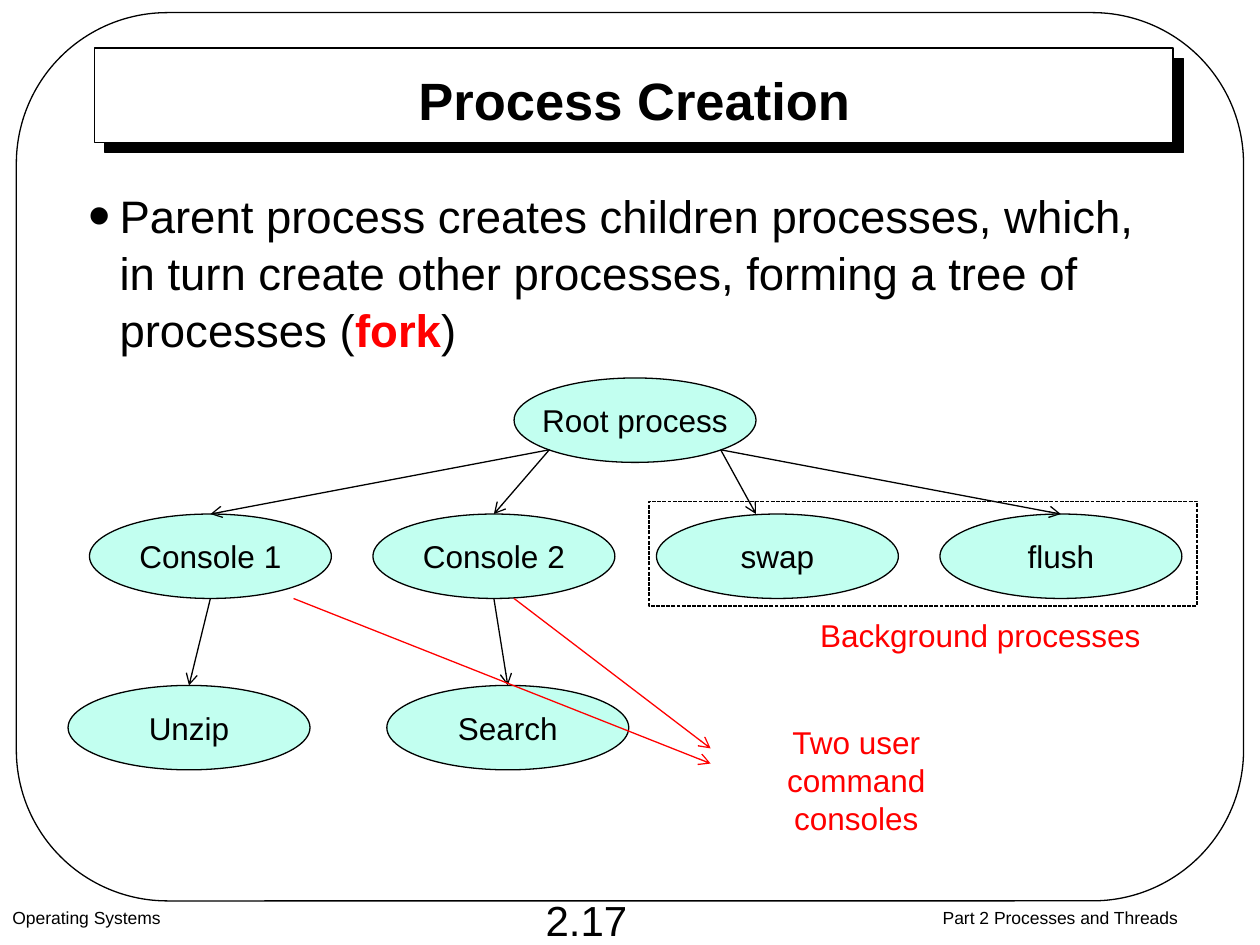
"""Build the Process Creation slide with its tree of processes."""
from dataclasses import dataclass

from lxml import etree
from pptx import Presentation
from pptx.dml.color import RGBColor
from pptx.enum.dml import MSO_LINE
from pptx.enum.shapes import MSO_CONNECTOR, MSO_SHAPE
from pptx.enum.text import MSO_ANCHOR, PP_ALIGN
from pptx.oxml.ns import qn
from pptx.util import Inches, Pt

LEFT, CENTER = PP_ALIGN.LEFT, PP_ALIGN.CENTER
TOP, MIDDLE = MSO_ANCHOR.TOP, MSO_ANCHOR.MIDDLE
RECT, ROUND, OVAL = MSO_SHAPE.RECTANGLE, MSO_SHAPE.ROUNDED_RECTANGLE, MSO_SHAPE.OVAL
DASH = MSO_LINE.SQUARE_DOT
STRAIGHT = MSO_CONNECTOR.STRAIGHT
COLORS = {"black": "000000", "white": "FFFFFF", "red": "FF0000", "mint": "C2FFF0"}
FONT = "Arial"
WIDE, HIGH = 1.92, 0.67
ROW, STEP, LOW = 4.08, 2.25, 5.44


@dataclass
class Node:
    text: str
    left: float
    top: float


@dataclass
class Label:
    text: str
    box: tuple[float, float, float, float]
    size: float
    color: str = "black"
    align: PP_ALIGN = CENTER
    anchor: MSO_ANCHOR = TOP
    wrap: bool = False


@dataclass
class Arrow:
    start: tuple[float, float]
    end: tuple[float, float]
    color: str = "black"
    target: str = ""


NODES = [Node("Root process", 4.08, 3)]
NODES += [Node(name, 0.71 + i * STEP, ROW)
          for i, name in enumerate(["Console 1", "Console 2", "swap", "flush"])]
NODES += [Node("Unzip", 0.54, LOW), Node("Search", 3.07, LOW)]

LABELS = [
    Label("Part 2 Processes and Threads", (6.83, 7.15, 3.17, 0.35), 10, wrap=True),
    Label("2.17", (3.66, 7.05, 1.99, 0.5), 24, anchor=MIDDLE),
    Label("Operating Systems", (0, 7.15, 4, 0.35), 10, align=LEFT, wrap=True),
    Label("Background processes", (6.41, 4.84, 2.74, 0.4), 18, "red"),
    Label("Two user\ncommand consoles", (5.62, 5.69, 2.35, 0.7), 18, "red"),
]

ARROWS = [
    Arrow((5.72, 3.57), (8.42, ROW), target="flush"),
    Arrow((5.72, 3.57), (6, ROW)),
    Arrow((4.36, 3.57), (1.67, ROW), target="Console 1"),
    Arrow((4.36, 3.57), (3.92, ROW), target="Console 2"),
    Arrow((1.67, 4.75), (1.5, LOW), target="Unzip"),
    Arrow((3.92, 4.75), (4.03, LOW), target="Search"),
    Arrow((4.08, 4.75), (5.64, 5.94), "red"),
    Arrow((2.33, 4.75), (5.64, 6.06), "red"),
]


def paint(name: str) -> RGBColor:
    """Return a named colour."""
    return RGBColor.from_string(COLORS[name])


def style(para, size: float, color: str = "black", align=CENTER, bold: bool = False) -> None:
    """Set the font and alignment of a paragraph."""
    para.alignment = align
    para.font.name, para.font.size, para.font.bold = FONT, Pt(size), bold
    para.font.color.rgb = paint(color)


def add_shape(slide, kind, box: tuple, fill: str = ""):
    """Add an outlined shape, filled if a colour is named."""
    shape = slide.shapes.add_shape(kind, *map(Inches, box))
    shape.shadow.inherit = False
    if fill:
        shape.fill.solid()
        shape.fill.fore_color.rgb = paint(fill)
    else:
        shape.fill.background()
    shape.line.color.rgb = paint("black")
    shape.line.width = Pt(0.75)
    return shape


def add_title(slide) -> None:
    """Place the title on its panel with a hard shadow."""
    title = slide.shapes.title
    title.left, title.top, title.width, title.height = map(Inches, (1.27, 0.54, 7.53, 0.5))
    title.text_frame.text = "Process Creation"
    title.text_frame.vertical_anchor = MIDDLE
    style(title.text_frame.paragraphs[0], 30, bold=True)
    panel = add_shape(slide, RECT, (0.75, 0.38, 8.56, 0.75), "white")
    effects = panel.element.spPr.find(qn("a:effectLst"))
    shadow = etree.SubElement(effects, qn("a:outerShdw"), blurRad="0", dist=str(Pt(8.5)),
                              dir=str(45 * 60000), algn="tl", rotWithShape="0")
    etree.SubElement(shadow, qn("a:srgbClr"), val=COLORS["black"])
    title.element.addprevious(panel.element)


def add_body(slide) -> None:
    """Add the bulleted statement."""
    box = slide.shapes.add_textbox(*map(Inches, (0.6, 1.42, 8.79, 1.5)))
    box.text_frame.word_wrap = True
    para = box.text_frame.paragraphs[0]
    para.line_spacing = 1.05
    props = para._p.get_or_add_pPr()
    props.set("marL", str(Inches(0.25)))
    props.set("indent", str(-Inches(0.25)))
    tint = etree.SubElement(props, qn("a:buClr"))
    etree.SubElement(tint, qn("a:srgbClr"), val=COLORS["black"])
    etree.SubElement(props, qn("a:buSzPct"), val="140000")
    etree.SubElement(props, qn("a:buFont"), typeface=FONT)
    etree.SubElement(props, qn("a:buChar"), char="•")
    style(para, 26, align=LEFT)
    para.add_run().text = ("Parent process creates children processes, which, in turn "
                           "create other processes, forming a tree of processes (")
    fork = para.add_run()
    fork.text = "fork"
    fork.font.bold = True
    fork.font.color.rgb = paint("red")
    para.add_run().text = ")"


def add_node(slide, node: Node):
    """Add one process of the tree."""
    oval = add_shape(slide, OVAL, (node.left, node.top, WIDE, HIGH), "mint")
    frame = oval.text_frame
    frame.word_wrap = False
    frame.vertical_anchor = MIDDLE
    frame.text = node.text
    style(frame.paragraphs[0], 18)
    return oval


def add_label(slide, label: Label) -> None:
    """Add a plain text box."""
    box = slide.shapes.add_textbox(*map(Inches, label.box))
    frame = box.text_frame
    frame.word_wrap = label.wrap
    frame.vertical_anchor = label.anchor
    frame.text = label.text
    for para in frame.paragraphs:
        style(para, label.size, label.color, label.align)


def add_arrow(slide, arrow: Arrow, ovals: dict) -> None:
    """Add an arrow, joined to the top of its target if it has one."""
    link = slide.shapes.add_connector(STRAIGHT, *map(Inches, arrow.start + arrow.end))
    if arrow.target:
        link.end_connect(ovals[arrow.target], 0)
    link.line.color.rgb = paint(arrow.color)
    link.line.width = Pt(0.75)
    etree.SubElement(link.line._get_or_add_ln(), qn("a:tailEnd"), type="arrow")
    etree.SubElement(link._element.spPr, qn("a:effectLst"))


def main() -> None:
    """Build and save the slide."""
    deck = Presentation()
    deck.slide_width, deck.slide_height = Inches(10), Inches(7.5)
    slide = deck.slides.add_slide(deck.slide_layouts[5])
    add_title(slide)
    border = add_shape(slide, ROUND, (0.13, 0.1, 9.74, 7.05))
    border.adjustments[0] = 0.17
    add_body(slide)
    ovals = {node.text: add_node(slide, node) for node in NODES}
    group = add_shape(slide, RECT, (5.15, 3.98, 4.35, 0.83))
    group.line.dash_style = DASH
    for label in LABELS:
        add_label(slide, label)
    for arrow in ARROWS:
        add_arrow(slide, arrow, ovals)
    deck.save("out.pptx")


if __name__ == "__main__":
    main()
